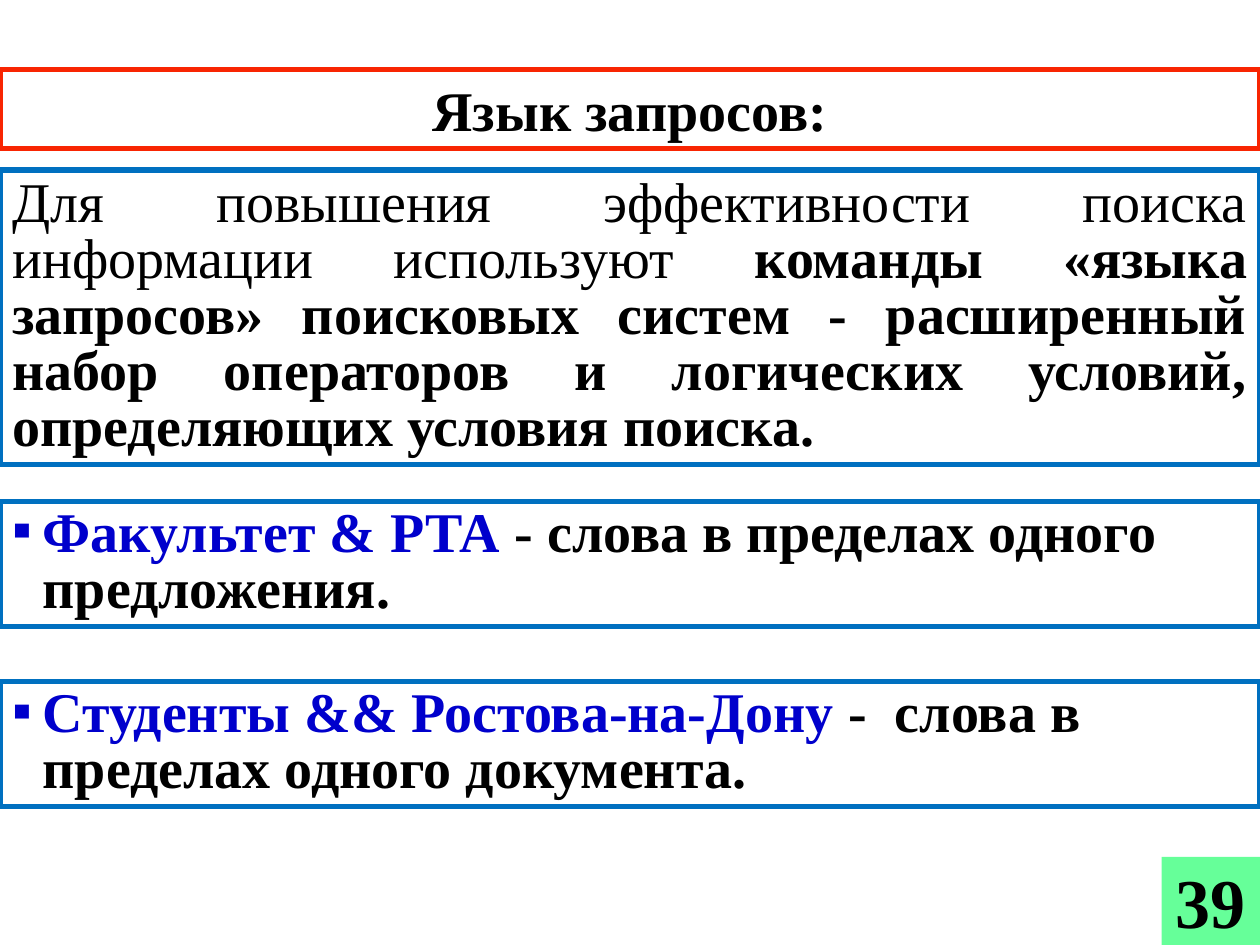
from dataclasses import dataclass

from lxml import etree
from pptx import Presentation
from pptx.dml.color import RGBColor
from pptx.enum.shapes import MSO_SHAPE
from pptx.enum.text import MSO_ANCHOR, MSO_AUTO_SIZE, PP_ALIGN
from pptx.oxml.ns import qn
from pptx.util import Inches, Pt

RECT = MSO_SHAPE.RECTANGLE
TOP, MIDDLE = MSO_ANCHOR.TOP, MSO_ANCHOR.MIDDLE
GROW = MSO_AUTO_SIZE.SHAPE_TO_FIT_TEXT
LEFT, CENTER, JUSTIFY = PP_ALIGN.LEFT, PP_ALIGN.CENTER, PP_ALIGN.JUSTIFY


@dataclass(frozen=True)
class Theme:
    font: str = "Times New Roman"
    ink: str = "000000"
    paper: str = "FFFFFF"
    red: str = "F82502"
    blue: str = "0070C0"
    query: str = "0000CC"
    green: str = "66FF99"
    body: int = 32
    number: int = 40
    border: int = 3


THEME = Theme()


def color(code):
    return RGBColor.from_string(code)


def add_panel(slide, box, fill, line=None, anchor=MIDDLE):
    """Add a filled rectangle and return its text frame."""
    panel = slide.shapes.add_shape(RECT, *(Inches(v) for v in box))
    panel.shadow.inherit = False
    panel.fill.solid()
    panel.fill.fore_color.rgb = color(fill)
    if line:
        panel.line.color.rgb = color(line)
        panel.line.width = Pt(THEME.border)
    else:
        panel.line.fill.background()
    frame = panel.text_frame
    frame.word_wrap = True
    frame.vertical_anchor = anchor
    return frame


def add_run(para, text, ink=THEME.ink, bold=True, size=THEME.body):
    run = para.add_run()
    run.text = text
    run.font.name = THEME.font
    run.font.size = Pt(size)
    run.font.bold = bold
    run.font.color.rgb = color(ink)


def add_bullet(para, ink, indent):
    props = para._p.get_or_add_pPr()
    props.set("marL", str(Inches(indent)))
    props.set("indent", str(-Inches(indent)))
    tint = etree.SubElement(props, qn("a:buClr"))
    etree.SubElement(tint, qn("a:srgbClr"), val=ink)
    etree.SubElement(props, qn("a:buFont"), typeface=THEME.font)
    etree.SubElement(props, qn("a:buChar"), char="▪")


def add_title(slide, box, text):
    para = add_panel(slide, box, THEME.paper, THEME.red).paragraphs[0]
    para.alignment = CENTER
    add_run(para, text)


def add_intro(slide, box, plain, strong):
    para = add_panel(slide, box, THEME.paper, THEME.blue).paragraphs[0]
    para.alignment = JUSTIFY
    para.line_spacing = Pt(THEME.body)
    add_run(para, plain, bold=False)
    add_run(para, strong)


def add_rule(slide, box, query, meaning):
    """Add one bulleted query example with its meaning."""
    frame = add_panel(slide, box, THEME.paper, THEME.blue, TOP)
    frame.auto_size = GROW
    para = frame.paragraphs[0]
    add_bullet(para, THEME.query, 0.24)
    para.alignment = LEFT
    para.line_spacing = Pt(THEME.body)
    add_run(para, query, THEME.query)
    add_run(para, meaning)


def add_number(slide, box, text):
    para = add_panel(slide, box, THEME.green).paragraphs[0]
    para.alignment = CENTER
    add_run(para, text, size=THEME.number)


def main():
    deck = Presentation()
    deck.slide_width, deck.slide_height = Inches(10), Inches(7.5)
    slide = deck.slides.add_slide(deck.slide_layouts[6])

    add_title(slide, (0, 0.55, 10, 0.63), "Язык запросов:")
    add_intro(
        slide, (0, 1.35, 10, 2.34),
        "Для повышения эффективности поиска информации используют ",
        "команды «языка запросов» поисковых систем - расширенный набор "
        "операторов и логических условий, определяющих условия поиска.",
    )
    rules = (
        ("Факультет & РТА ", "- слова в пределах одного предложения."),
        ("Студенты && Ростова-на-Дону ",
         "-  слова в пределах одного документа."),
    )
    for i, (query, meaning) in enumerate(rules):
        add_rule(slide, (0, 3.98 + 1.43 * i, 10, 0.99), query, meaning)
    add_number(slide, (9.22, 6.8, 0.78, 0.7), "39")

    deck.save("out.pptx")


if __name__ == "__main__":
    main()
